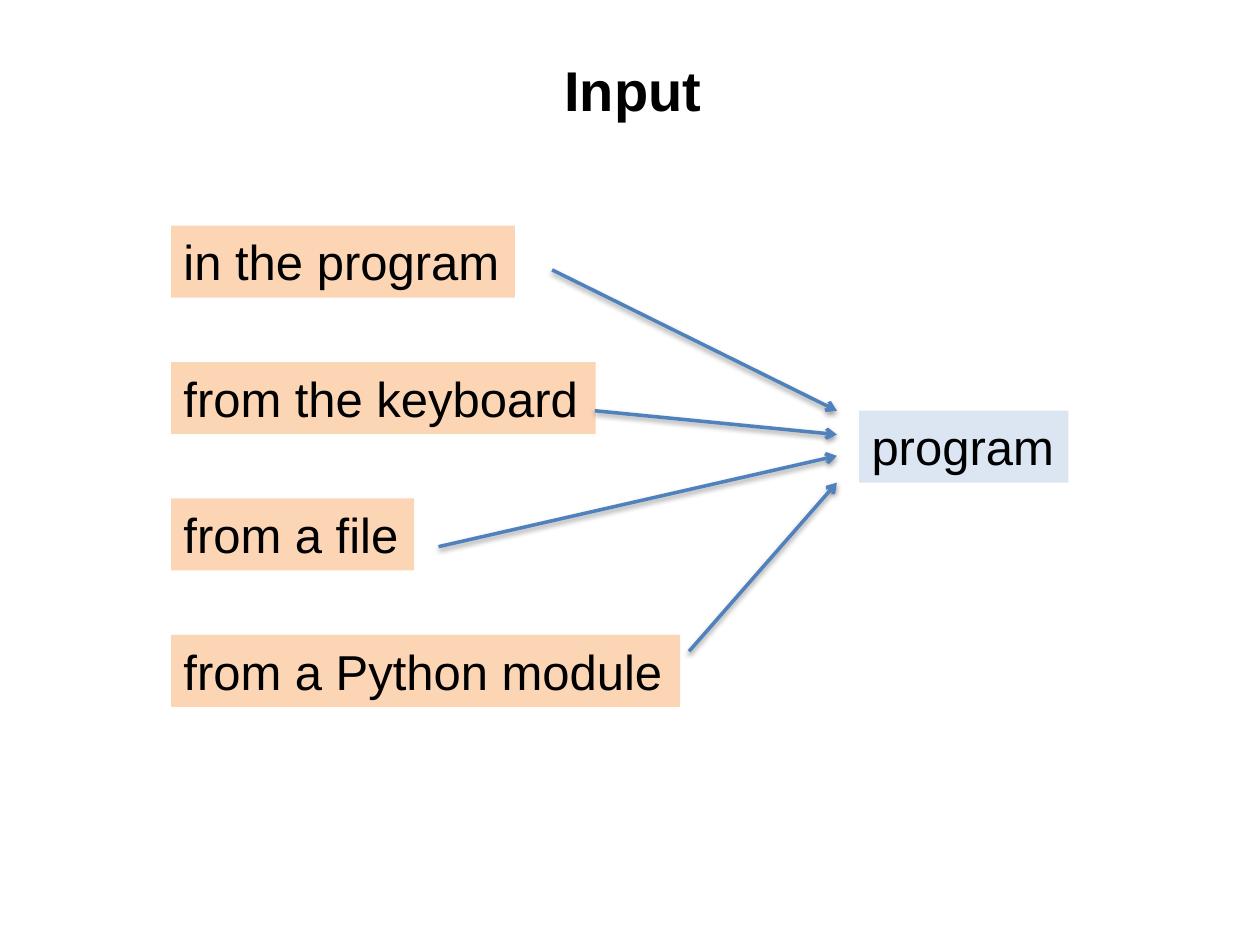
from dataclasses import dataclass

from lxml.etree import SubElement
from pptx import Presentation
from pptx.dml.color import RGBColor
from pptx.enum.shapes import MSO_CONNECTOR
from pptx.enum.text import MSO_AUTO_SIZE
from pptx.oxml.ns import qn
from pptx.util import Cm, Pt


@dataclass(frozen=True)
class Theme:
    font: str = "Arial"
    text: RGBColor = RGBColor.from_string("000000")
    source: RGBColor = RGBColor.from_string("FCD5B5")
    target: RGBColor = RGBColor.from_string("DCE6F2")
    arrow: RGBColor = RGBColor.from_string("4F81BD")
    title_size: Pt = Pt(32)
    label_size: Pt = Pt(28)
    arrow_width: Pt = Pt(2)


theme = Theme()


def add_label(page, text, left, top, width, height, size, fill=None):
    box = page.shapes.add_textbox(Cm(left), Cm(top), Cm(width), Cm(height))
    if fill is not None:
        box.fill.solid()
        box.fill.fore_color.rgb = fill
    frame = box.text_frame
    frame.text = text
    frame.word_wrap = False
    frame.auto_size = MSO_AUTO_SIZE.SHAPE_TO_FIT_TEXT
    span = frame.paragraphs[0].runs[0]
    span.font.name = theme.font
    span.font.size = size
    span.font.color.rgb = theme.text
    return span


deck = Presentation()
deck.slide_width = Cm(25.4)
deck.slide_height = Cm(19.05)
page = deck.slides.add_slide(deck.slide_layouts[6])

title = add_label(page, "Input", 11.13, 0.99, 3.3, 1.63, theme.title_size)
title.font.bold = True

label_height = 1.45
add_label(page, "program", 17.32, 8.28, 4.22, label_height, theme.label_size, theme.target)

source_left, first_top, row_pitch = 3.45, 4.55, 2.75
sources = [
    ("in the program", 6.93),
    ("from the keyboard", 8.56),
    ("from a file", 4.9),
    ("from a Python module", 10.26),
]
for row, (text, width) in enumerate(sources):
    top = first_top + row * row_pitch
    add_label(page, text, source_left, top, width, label_height, theme.label_size, theme.source)

tip_x = 16.87
arrows = [
    (11.13, 5.44, 8.28),
    (11.99, 8.28, 8.76),
    (8.84, 11.02, 9.19),
    (13.89, 13.13, 9.73),
]
for start_x, start_y, tip_y in arrows:
    arrow = page.shapes.add_connector(
        MSO_CONNECTOR.STRAIGHT, Cm(start_x), Cm(start_y), Cm(tip_x), Cm(tip_y)
    )
    arrow.line.color.rgb = theme.arrow
    arrow.line.width = theme.arrow_width
    SubElement(arrow.line._get_or_add_ln(), qn("a:tailEnd"), type="arrow")

deck.save("out.pptx")
